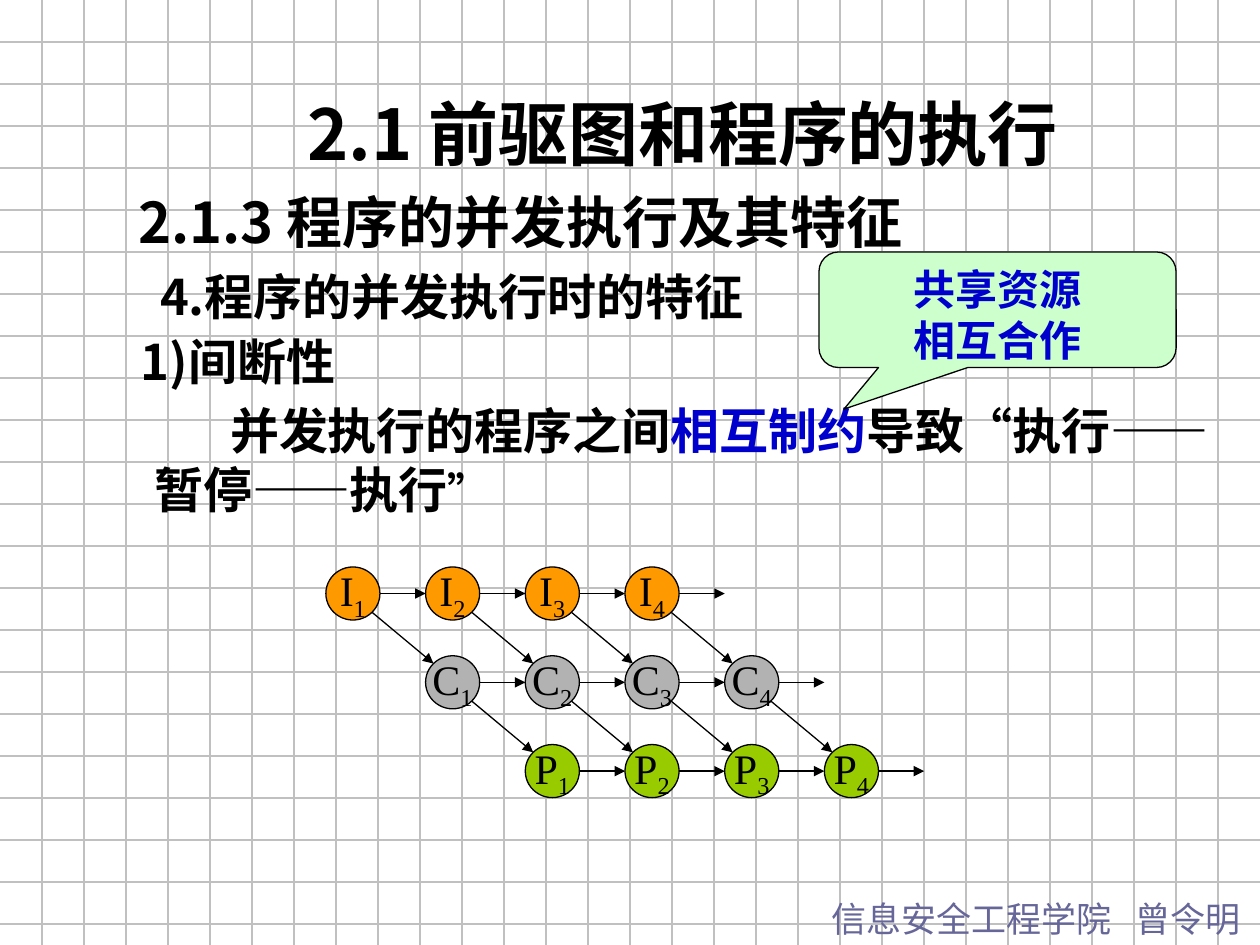
from dataclasses import dataclass
from math import sqrt

from lxml import etree
from pptx import Presentation
from pptx.dml.color import RGBColor
from pptx.enum.shapes import MSO_CONNECTOR, MSO_SHAPE
from pptx.enum.text import MSO_ANCHOR, MSO_AUTO_SIZE, PP_ALIGN
from pptx.oxml.ns import qn
from pptx.util import Cm, Pt

LEFT, CENTER = PP_ALIGN.LEFT, PP_ALIGN.CENTER
TOP, MIDDLE = MSO_ANCHOR.TOP, MSO_ANCHOR.MIDDLE
FIT_SHAPE, FIXED = MSO_AUTO_SIZE.SHAPE_TO_FIT_TEXT, MSO_AUTO_SIZE.NONE
STRAIGHT = MSO_CONNECTOR.STRAIGHT
OVAL, CALLOUT = MSO_SHAPE.OVAL, MSO_SHAPE.ROUNDED_RECTANGULAR_CALLOUT

PAGE_WIDTH, PAGE_HEIGHT = 25.4, 19.05
GRID_STEP = PAGE_WIDTH / 30
BLACK, BLUE, SLATE, GRID_GREY = "000000", "0000CC", "666699", "C0C0C0"
SANS, SANS_JP, SERIF = "Noto Sans CJK SC", "Noto Sans CJK JP", "Times New Roman"

NODE_COUNT = 4
NODE_WIDTH, NODE_HEIGHT = 1.09, 1.07
GRAPH_LEFT, GRAPH_TOP = 6.57, 11.43
COLUMN_STEP, ROW_STEP = 2.01, 1.79
STAGES = [("I", "FF9900"), ("C", "B2B2B2"), ("P", "99CC00")]


@dataclass
class Span:
    text: str
    size: float
    font: str
    color: str = BLACK
    bold: bool = True
    baseline: int = 0
    tracking: float = 0
    asian_font: str = SANS


@dataclass
class Para:
    spans: list[Span]
    align: PP_ALIGN = LEFT
    margin: float = 0
    indent: float = 0
    before: float = 0
    spacing: float = 1.0


def rgb(color: str) -> RGBColor:
    return RGBColor.from_string(color)


def write_span(paragraph, span: Span) -> None:
    run = paragraph.add_run()
    run.text = span.text
    font = run.font
    font.size, font.bold, font.name = Pt(span.size), span.bold, span.font
    font.color.rgb = rgb(span.color)
    properties = run._r.get_or_add_rPr()
    etree.SubElement(properties, qn("a:ea")).set("typeface", span.asian_font)
    if span.baseline:
        properties.set("baseline", str(span.baseline * 1000))
    if span.tracking:
        properties.set("spc", str(round(span.tracking * 100)))


def write_paras(frame, paras: list[Para]) -> None:
    for number, para in enumerate(paras):
        paragraph = frame.add_paragraph() if number else frame.paragraphs[0]
        properties = paragraph._p.get_or_add_pPr()
        properties.set("marL", str(Cm(para.margin)))
        properties.set("indent", str(Cm(para.indent)))
        paragraph.alignment = para.align
        paragraph.line_spacing = para.spacing
        paragraph.space_before = Pt(para.before)
        for span in para.spans:
            write_span(paragraph, span)


def add_text(page, left: float, top: float, width: float, height: float,
             paras: list[Para], fit=FIT_SHAPE) -> None:
    box = page.shapes.add_textbox(Cm(left), Cm(top), Cm(width), Cm(height))
    box.text_frame.word_wrap = True
    box.text_frame.auto_size = fit
    write_paras(box.text_frame, paras)


def add_outlined(shapes, preset, left: float, top: float, width: float,
                 height: float, fill: str, paras: list[Para], anchor, wrap: bool):
    """Add a filled preset shape with a thin black outline and text."""
    shape = shapes.add_shape(preset, Cm(left), Cm(top), Cm(width), Cm(height))
    shape.shadow.inherit = False
    shape.fill.solid()
    shape.fill.fore_color.rgb = rgb(fill)
    shape.line.color.rgb = rgb(BLACK)
    shape.line.width = Pt(0.75)
    shape.text_frame.word_wrap = wrap
    shape.text_frame.vertical_anchor = anchor
    write_paras(shape.text_frame, paras)
    return shape


def add_line(shapes, x1: float, y1: float, x2: float, y2: float,
             color: str, arrow: bool = False) -> None:
    line = shapes.add_connector(STRAIGHT, Cm(x1), Cm(y1), Cm(x2), Cm(y2))
    line.line.color.rgb = rgb(color)
    line.line.width = Pt(0.75)
    if arrow:
        etree.SubElement(line.line._get_or_add_ln(), qn("a:tailEnd"), type="triangle")
    etree.SubElement(line._element.spPr, qn("a:effectLst"))


def add_grid(page) -> None:
    shapes = page.shapes.add_group_shape().shapes
    for row in range(1, 23):
        add_line(shapes, 0, row * GRID_STEP, PAGE_WIDTH, row * GRID_STEP, GRID_GREY)
    for column in range(1, 30):
        add_line(shapes, column * GRID_STEP, 0, column * GRID_STEP, PAGE_HEIGHT, GRID_GREY)


def add_precedence_graph(page) -> None:
    """Draw one row per stage, each shifted one column to the right."""
    shapes = page.shapes.add_group_shape().shapes
    near = (1 - sqrt(0.5)) / 2
    far = 1 - near
    for row, (letter, fill) in enumerate(STAGES):
        for column in range(NODE_COUNT):
            left = GRAPH_LEFT + (row + column) * COLUMN_STEP
            top = GRAPH_TOP + row * ROW_STEP
            label = Para([Span(letter, 24, SERIF, bold=False),
                          Span(str(column + 1), 24, SERIF, bold=False, baseline=-25)],
                         align=CENTER)
            add_outlined(shapes, OVAL, left, top, NODE_WIDTH, NODE_HEIGHT,
                         fill, [label], MIDDLE, wrap=False)
            middle = top + NODE_HEIGHT / 2
            add_line(shapes, left + NODE_WIDTH, middle, left + COLUMN_STEP, middle,
                     BLACK, arrow=True)
            if row < len(STAGES) - 1:
                add_line(shapes, left + far * NODE_WIDTH, top + far * NODE_HEIGHT,
                         left + COLUMN_STEP + near * NODE_WIDTH,
                         top + ROW_STEP + near * NODE_HEIGHT, BLACK, arrow=True)


def main() -> None:
    deck = Presentation()
    deck.slide_width, deck.slide_height = Cm(PAGE_WIDTH), Cm(PAGE_HEIGHT)
    page = deck.slides.add_slide(deck.slide_layouts[6])
    page.background.fill.solid()
    page.background.fill.fore_color.rgb = rgb("FFFFFF")

    add_grid(page)
    add_text(page, 16.51, 17.96, 8.89, 1.12, [
        Para([Span(text, 20, SANS_JP, SLATE, bold=False, tracking=tracking,
                   asian_font=SANS_JP)
              for text, tracking in (("信息安全工程学院", 0), (" ", 9), ("曾令明", 0))])])
    add_text(page, 2.54, 3.39, 21.8, 3.3, [
        Para([Span("2.1.3 ", 32, SANS), Span("程序的并发执行及其特征", 32, SERIF)],
             margin=1.27, indent=-1.27, spacing=1.2),
        Para([Span("4.", 28, SANS), Span("程序的并发执行时的特征", 28, SERIF)],
             margin=1.27, indent=-0.83, spacing=1.2)])
    add_text(page, 3.6, 1.7, 20.32, 1.96, [
        Para([Span("2.1 前驱图和程序的执行", 40, SANS_JP, asian_font=SANS_JP)],
             align=CENTER)])
    add_text(page, 1.91, 6.56, 23.07, 4.02, [
        Para([Span("1)间断性", 28, SANS)], margin=0.95, indent=-0.27),
        Para([Span("并发执行的程序之间", 28, SERIF),
              Span("相互制约", 28, SERIF, BLUE),
              Span("导致“执行——暂停——执行", 28, SERIF),
              Span("”", 24, SERIF)], margin=0.95, indent=1.53, before=6)], fit=FIXED)

    callout = add_outlined(
        page.shapes, CALLOUT, 16.51, 5.08, 7.2, 2.33, "CCFFCC",
        [Para([Span(text, 24, "Lato", BLUE)], align=CENTER)
         for text in ("共享资源", "相互合作")], TOP, wrap=True)
    for index, value in enumerate((-0.43, 0.86, 0.17)):
        callout.adjustments[index] = value

    add_precedence_graph(page)
    deck.save("out.pptx")


if __name__ == "__main__":
    main()
